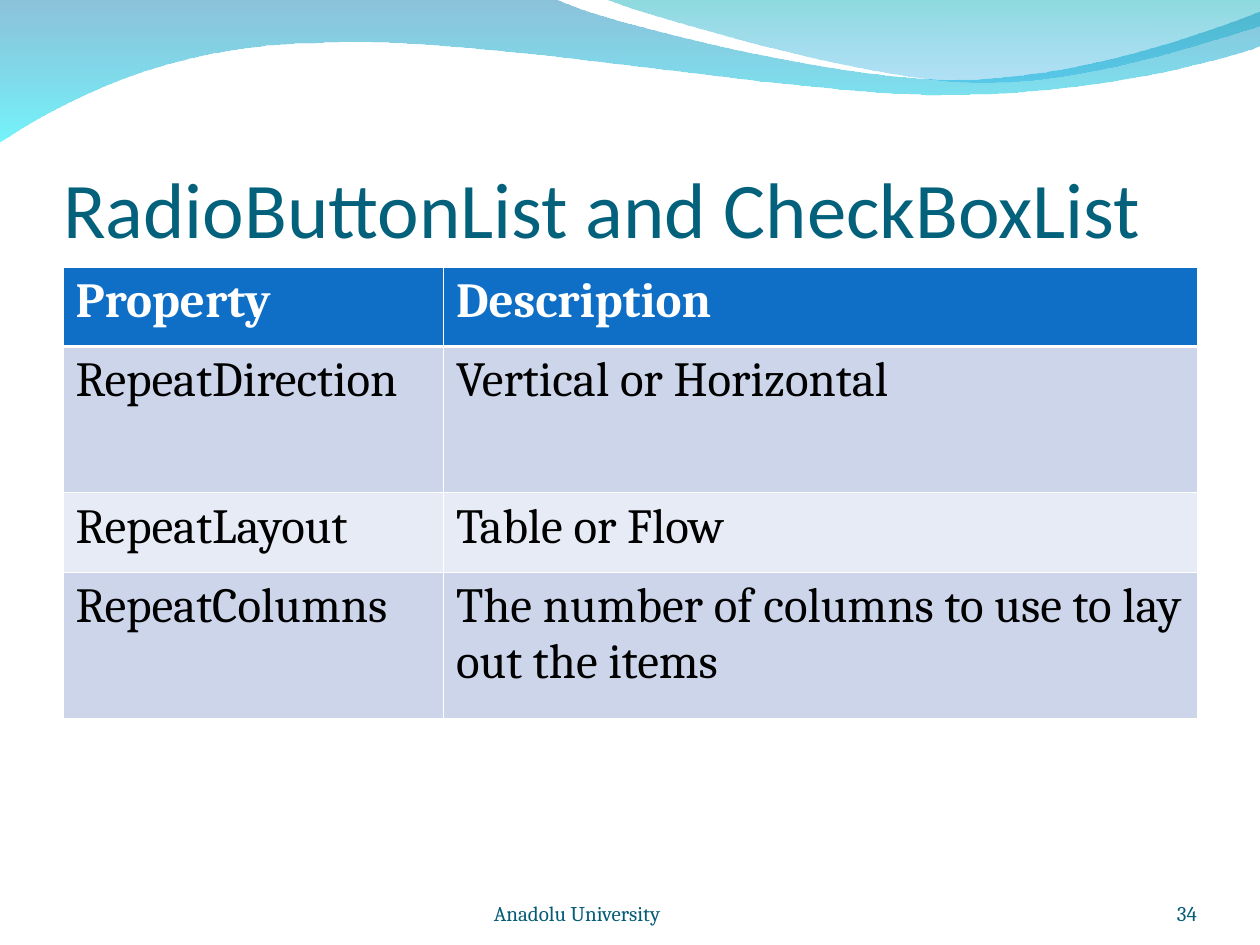
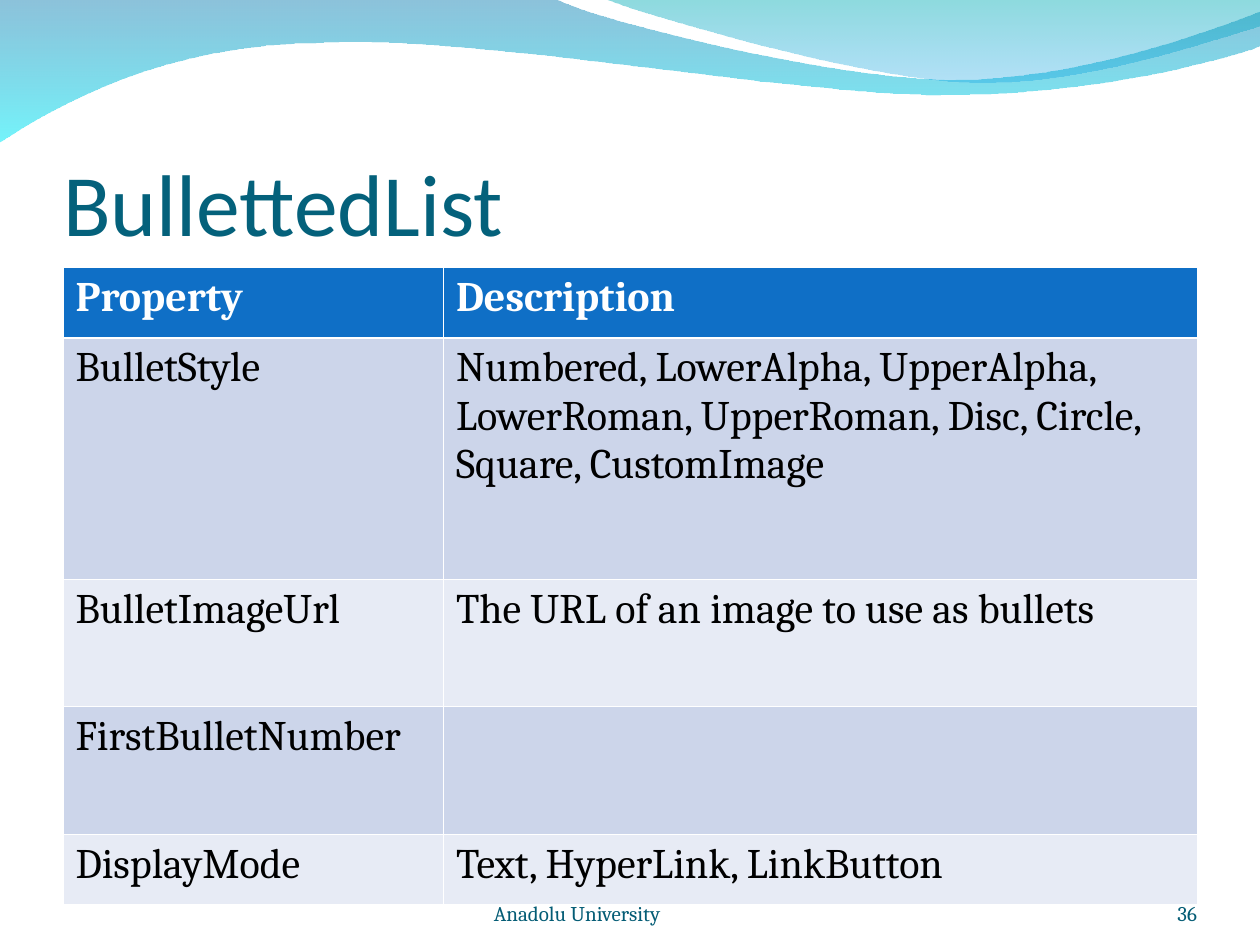
from lxml import etree
from pptx import Presentation
from pptx.dml.color import RGBColor
from pptx.enum.text import MSO_ANCHOR, MSO_AUTO_SIZE, PP_ALIGN
from pptx.oxml.ns import qn
from pptx.util import Inches, Pt

LEFT, RIGHT = PP_ALIGN.LEFT, PP_ALIGN.RIGHT
BOTTOM = MSO_ANCHOR.BOTTOM
NO_FIT = MSO_AUTO_SIZE.NONE

WHITE = RGBColor(0xFF, 0xFF, 0xFF)
BLACK = RGBColor(0, 0, 0)
TITLE_TEAL = RGBColor(0x04, 0x61, 0x7B)
FOOTER_TEAL = RGBColor(0x04, 0x5C, 0x75)
HEADER_BLUE = RGBColor(0x0F, 0x6F, 0xC6)
BANDS = (RGBColor(0xCC, 0xD5, 0xEA), RGBColor(0xE7, 0xEB, 0xF5))

TITLE_FONT, BODY_FONT = "Calibri", "Cambria"
TITLE_BOX = (0.5, 0.77, 9, 1.25)
TABLE_ORIGIN = (0.5, 2.12)
COLUMN_WIDTHS = (3.02, 5.98)
FOOTER_BOX = (2.92, 6.95, 3.67, 0.4)
NUMBER_BOX = (8.67, 6.95, 0.83, 0.4)
THIN, THICK = 0.45, 1.47

# Each wave: start, then one point for a line or three for a cubic curve;
# the gradient runs downwards through (colour, opacity in percent)
WAVES = (
    ((0, -0.01),
     (((4.4, -0.01),),
      ((4.76, 0.17), (6.64, 0.63), (7.58, 0.63)),
      ((8.53, 0.63), (9.58, 0.26), (10, 0.09)),
      ((10.01, 0.36),),
      ((9.83, 0.44), (8.7, 0.76), (7.46, 0.75)),
      ((6.22, 0.75), (3.82, 0.28), (2.57, 0.34)),
      ((1.29, 0.35), (0.46, 0.83), (-0.01, 1.13))),
     ((RGBColor(0x00, 0x79, 0xAF), 45), (RGBColor(0x00, 0xEB, 0xF8), 55))),
    ((4.79, -0.01),
     (((5.09, 0.11), (6.82, 0.62), (7.69, 0.65)),
      ((8.56, 0.69), (9.61, 0.32), (10, 0.21)),
      ((10, 0),)),
     ((RGBColor(0x00, 0xAD, 0xB6), 45), (RGBColor(0x00, 0x9B, 0xE5), 30))),
)

SLIDES = (
    dict(title="RadioButtonList and CheckBoxList", title_size=45, number="34",
         text_size=28, heights=(0.63, 1.16, 0.63, 1.16),
         rows=(("Property", "Description"),
               ("RepeatDirection", "Vertical or Horizontal"),
               ("RepeatLayout", "Table or Flow"),
               ("RepeatColumns",
                "The number of columns to use to lay out the items"))),
    dict(title="BullettedList", title_size=50, number="36",
         text_size=24, heights=(0.56, 1.92, 1.01, 1.01, 0.56),
         rows=(("Property", "Description"),
               ("BulletStyle",
                "Numbered, LowerAlpha, UpperAlpha, LowerRoman, UpperRoman, "
                "Disc, Circle, Square, CustomImage"),
               ("BulletImageUrl", "The URL of an image to use as bullets"),
               ("FirstBulletNumber", ""),
               ("DisplayMode", "Text, HyperLink, LinkButton"))),
)


def inches(values):
    return [Inches(value) for value in values]


def style_font(font, name, size, color, bold=False):
    settings = {"name": name, "size": Pt(size), "bold": bold}
    for attribute, value in settings.items():
        setattr(font, attribute, value)
    font.color.rgb = color


def format_frame(frame, top_inset=0):
    settings = {"word_wrap": True, "auto_size": NO_FIT,
                "vertical_anchor": BOTTOM, "margin_left": 0,
                "margin_right": 0, "margin_top": Inches(top_inset),
                "margin_bottom": 0}
    for attribute, value in settings.items():
        setattr(frame, attribute, value)


def draw_outline(slide, start, segments):
    """Build a closed freeform, then bend its three-point parts into curves."""
    points = [inches(point) for segment in segments for point in segment]
    builder = slide.shapes.build_freeform(*inches(start))
    builder.add_line_segments(points, close=True)
    outline = builder.convert_to_shape()
    lines = iter(list(outline.element.iter(qn("a:lnTo"))))
    for segment in segments:
        first, *others = [next(lines) for _ in segment]
        if others:
            first.tag = qn("a:cubicBezTo")
            for line in others:
                first.append(line[0])
                line.getparent().remove(line)
    return outline


def add_waves(slide):
    """Draw the header waves and hand them to the slide's layout."""
    layout_tree = slide.slide_layout.shapes.element
    for position, (start, segments, gradient) in enumerate(WAVES):
        wave = draw_outline(slide, start, segments)
        wave.shadow.inherit = False
        wave.line.fill.background()
        wave.fill.gradient()
        wave.fill.gradient_angle = 270
        for stop, (color, _) in zip(wave.fill.gradient_stops, gradient):
            stop.color.rgb = color
        colors = list(wave.element.iter(qn("a:srgbClr")))
        for color, (_, opacity) in zip(colors, gradient):
            etree.SubElement(color, qn("a:alpha"), val=str(opacity * 1000))
        layout_tree.insert(2 + position, wave.element)


def add_title(slide, box, text, size):
    title = slide.shapes.title
    title.left, title.top, title.width, title.height = inches(box)
    title.text = text
    format_frame(title.text_frame, top_inset=0.05)
    paragraph = title.text_frame.paragraphs[0]
    paragraph.alignment = LEFT
    style_font(paragraph.runs[0].font, TITLE_FONT, size, TITLE_TEAL)


def add_footer_text(slide, box, text, alignment):
    frame = slide.shapes.add_textbox(*inches(box)).text_frame
    format_frame(frame)
    paragraph = frame.paragraphs[0]
    paragraph.alignment = alignment
    tabs = etree.SubElement(paragraph._p.get_or_add_pPr(), qn("a:tabLst"))
    etree.SubElement(tabs, qn("a:tab"), pos=str(Inches(1)), algn="l")
    run = paragraph.add_run()
    run.text = text
    style_font(run.font, BODY_FONT, 12, FOOTER_TEAL)


def add_borders(cell, top, bottom):
    properties = cell._tc.get_or_add_tcPr()
    widths = {"a:lnL": THIN, "a:lnR": THIN, "a:lnT": top, "a:lnB": bottom}
    for side, width in widths.items():
        line = etree.SubElement(properties, qn(side), w=str(Pt(width)))
        fill = etree.SubElement(line, qn("a:solidFill"))
        etree.SubElement(fill, qn("a:srgbClr"), val=str(WHITE))


def add_property_table(slide, origin, rows, heights, text_size):
    size = (sum(COLUMN_WIDTHS), sum(heights))
    table = slide.shapes.add_table(len(rows), len(COLUMN_WIDTHS),
                                   *inches(origin + size)).table
    for column, width in zip(table.columns, COLUMN_WIDTHS):
        column.width = Inches(width)
    for index, (texts, height) in enumerate(zip(rows, heights)):
        table.rows[index].height = Inches(height)
        header = index == 0
        for column, text in enumerate(texts):
            cell = table.cell(index, column)
            add_borders(cell, THICK if index == 1 else THIN,
                        THICK if header else THIN)
            cell.fill.solid()
            cell.fill.fore_color.rgb = (
                HEADER_BLUE if header else BANDS[(index - 1) % 2])
            if text:
                cell.text = text
                style_font(cell.text_frame.paragraphs[0].runs[0].font,
                           BODY_FONT, text_size,
                           WHITE if header else BLACK, header)


def add_property_slide(deck, content):
    slide = deck.slides.add_slide(deck.slide_layouts[5])
    add_title(slide, TITLE_BOX, content["title"], content["title_size"])
    add_property_table(slide, TABLE_ORIGIN, content["rows"],
                       content["heights"], content["text_size"])
    add_footer_text(slide, NUMBER_BOX, content["number"], RIGHT)
    add_footer_text(slide, FOOTER_BOX, "\tAnadolu University", LEFT)
    return slide


def main():
    deck = Presentation()
    deck.slide_width, deck.slide_height = Inches(10), Inches(7.5)
    slides = [add_property_slide(deck, content) for content in SLIDES]
    add_waves(slides[0])
    deck.save("out.pptx")


if __name__ == "__main__":
    main()
